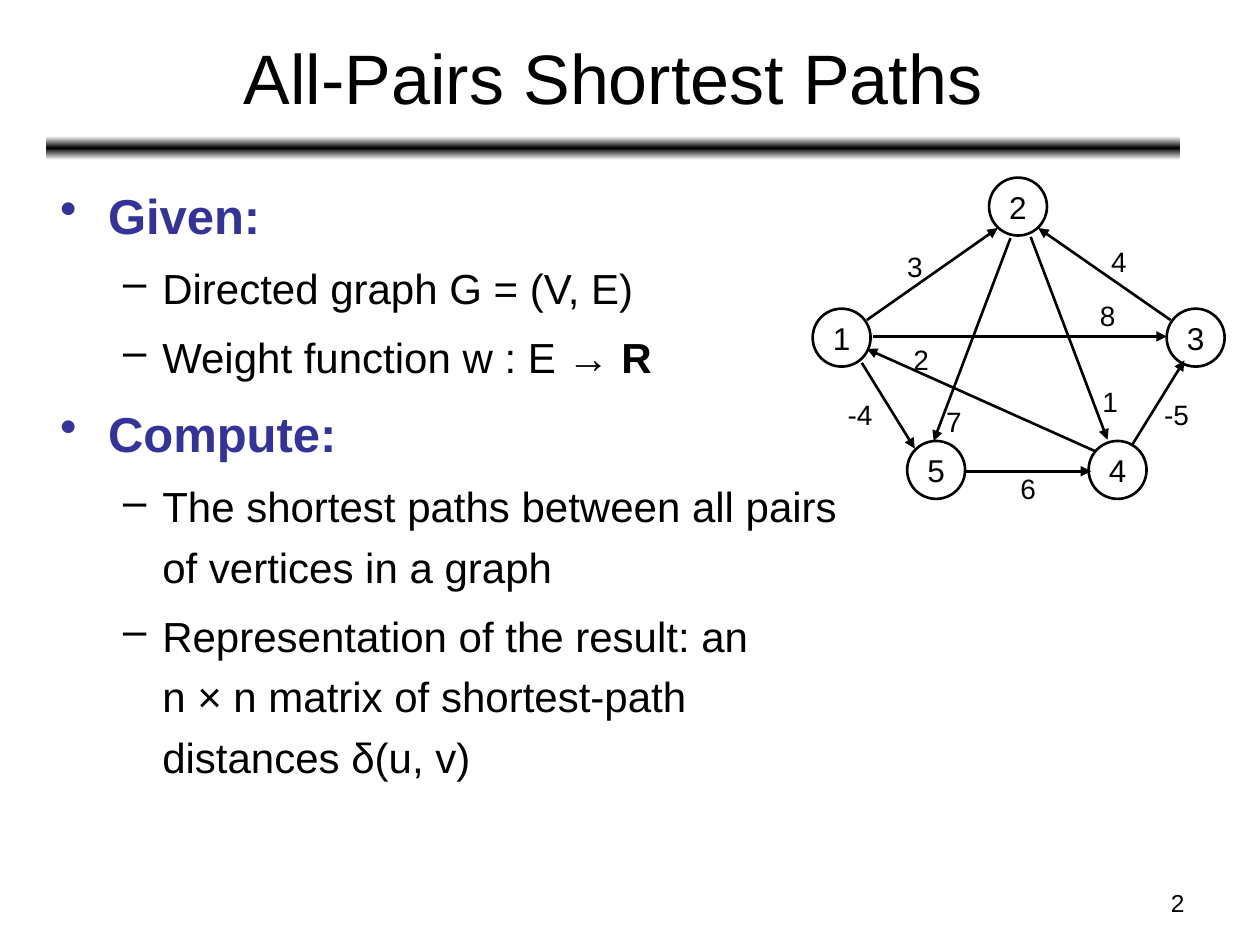
from lxml.etree import SubElement
from pptx import Presentation
from pptx.dml.color import RGBColor
from pptx.enum.shapes import MSO_CONNECTOR as CONN, MSO_SHAPE as SHAPE
from pptx.enum.text import MSO_ANCHOR as ANCHOR, PP_ALIGN as ALIGN
from pptx.oxml.ns import qn
from pptx.util import Inches, Pt

COLS, ROWS = 100, 75
BLACK, WHITE, INDIGO = "000000", "FFFFFF", "333399"
NODE = 4.6

NODES = {"1": (0, 10.4), "2": (14, 0), "3": (28.1, 10.4),
         "5": (7.5, 20.9), "4": (21.9, 20.9)}
EDGES = [
    ("3", (4.3, 11.3), (14.7, 4), (6.5, 5.2)),
    ("-4", (3.9, 14.7), (8.1, 21.5), (1.8, 17)),
    ("7", (15.7, 4.8), (9.6, 20.9), (9.6, 17.5)),
    ("6", (12.2, 23.3), (22.1, 23.3), (15.5, 22.8)),
    ("1", (17.3, 4.7), (23.4, 20.8), (22, 15.9)),
    ("2", (22.4, 21.7), (4.3, 13.6), (7, 12.6)),
    ("4", (28.4, 11.3), (17.9, 4), (22.7, 4.8)),
    ("-5", (25.3, 21.3), (29.5, 14.5), (26.9, 17)),
    ("8", (4.8, 12.6), (28.1, 12.6), (21.8, 9.1)),
]
POINTS = [
    (0, "Given:", ""),
    (1, "Directed graph G = (V, E)", ""),
    (1, "Weight function w : E → ", "R"),
    (0, "Compute:", ""),
    (1, "The shortest paths between all pairs of vertices in a graph", ""),
    (1, "Representation of the result: an\vn × n matrix of shortest-path "
        "distances δ(u, v)", ""),
]
LEVELS = [("•", 28, INDIGO, True, 0.38, 0.38), ("–", 24, BLACK, False, 0.81, 0.31)]

prs = Presentation()
prs.slide_width, prs.slide_height = Inches(10), Inches(7.5)


def color(value):
    return RGBColor.from_string(value)


def grid(*cells):
    units = (prs.slide_width / COLS, prs.slide_height / ROWS)
    return [round(cell * units[i % 2]) for i, cell in enumerate(cells)]


def style(p, size, fill=BLACK, bold=False):
    p.font.name, p.font.size, p.font.bold = "Arial", Pt(size), bold
    p.font.color.rgb = color(fill)


def add_text(s, box, text, size, align=ALIGN.LEFT, anchor=ANCHOR.TOP, wrap=True):
    tf = s.shapes.add_textbox(*grid(*box)).text_frame
    tf.word_wrap, tf.vertical_anchor = wrap, anchor
    p = tf.paragraphs[0]
    p.text, p.alignment = text, align
    style(p, size)


def add_header(s, x, y, w, h):
    bar = s.shapes.add_shape(SHAPE.ROUNDED_RECTANGLE, *grid(x, y + h - 0.2, w, 1.9))
    bar.shadow.inherit = False
    bar.line.fill.background()
    bar.fill.gradient()
    bar.fill.gradient_angle = 90
    stops = bar.fill._fill._gradFill.find(qn("a:gsLst"))
    stops.clear()
    for position, value in ((0, WHITE), (50000, BLACK), (100000, WHITE)):
        stop = SubElement(stops, qn("a:gs"), pos=str(position))
        SubElement(stop, qn("a:srgbClr"), val=value)
    add_text(s, (x, y, w, h), "All-Pairs Shortest Paths", 40, ALIGN.CENTER, ANCHOR.MIDDLE)


def add_points(s, x, y, w, h):
    tf = s.shapes.add_textbox(*grid(x, y, w, h)).text_frame
    tf.word_wrap = True
    for i, (level, text, strong) in enumerate(POINTS):
        bullet, size, fill, bold, left, hang = LEVELS[level]
        p = tf.paragraphs[0] if i == 0 else tf.add_paragraph()
        p.text, p.level = text, level
        p.line_spacing, p.space_before = 1.2, Pt(size * 0.2)
        style(p, size, fill, bold)
        if strong:
            r = p.add_run()
            r.text, r.font.bold = strong, True
        pPr = p._p.get_or_add_pPr()
        pPr.set("marL", str(Inches(left)))
        pPr.set("indent", str(-Inches(hang)))
        mark = pPr.makeelement(qn("a:buChar"), {"char": bullet})
        pPr.find(qn("a:defRPr")).addprevious(mark)


def add_node(s, x, y, name):
    node = s.shapes.add_shape(SHAPE.OVAL, *grid(x, y, NODE, NODE))
    node.shadow.inherit = False
    node.fill.background()
    node.line.color.rgb, node.line.width = color(BLACK), Pt(1.5)
    tf = node.text_frame
    tf.word_wrap, tf.vertical_anchor = False, ANCHOR.MIDDLE
    p = tf.paragraphs[0]
    p.text, p.alignment = name, ALIGN.CENTER
    style(p, 18)


def add_arrow(s, x1, y1, x2, y2):
    arrow = s.shapes.add_connector(CONN.STRAIGHT, *grid(x1, y1, x2, y2))
    arrow.line.color.rgb, arrow.line.width = color(BLACK), Pt(1.5)
    SubElement(arrow.line._get_or_add_ln(), qn("a:tailEnd"), type="triangle")
    SubElement(arrow._element.spPr, qn("a:effectLst"))


def add_graph(s, x, y):
    for name, (dx, dy) in NODES.items():
        add_node(s, x + dx, y + dy, name)
    for weight, (x1, y1), (x2, y2), (dx, dy) in EDGES:
        add_arrow(s, x + x1, y + y1, x + x2, y + y2)
        width = 2.4 + 0.8 * len(weight)
        add_text(s, (x + dx, y + dy, width, 3.7), weight, 16, wrap=False)


def main():
    s = prs.slides.add_slide(prs.slide_layouts[6])
    add_header(s, 3.65, 1.1, 90, 9.9)
    add_points(s, 3.8, 13.3, 64, 55.5)
    add_graph(s, 64.5, 14.1)
    add_text(s, (71.7, 70, 23.3, 3.5), "2", 14, ALIGN.RIGHT)
    prs.save("out.pptx")


if __name__ == "__main__":
    main()
